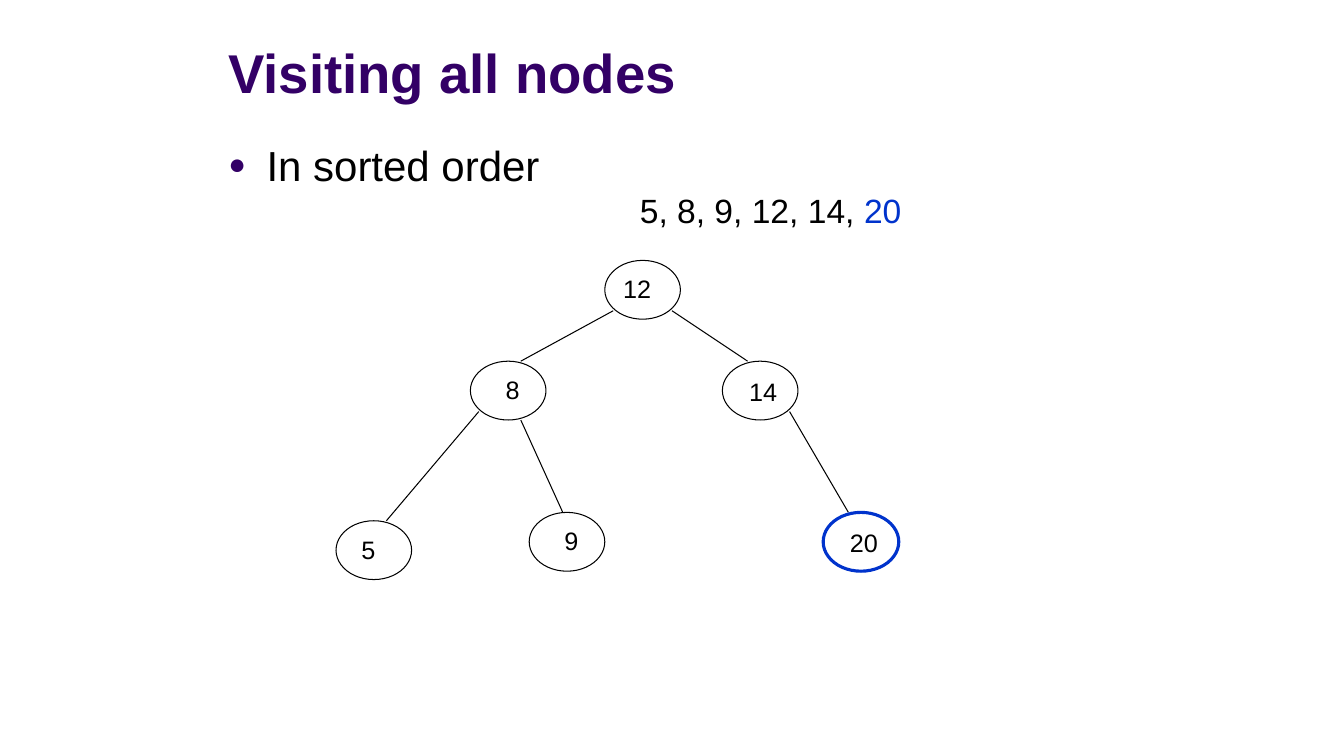
from dataclasses import dataclass

from lxml.etree import SubElement
from pptx import Presentation
from pptx.dml.color import RGBColor
from pptx.enum.shapes import MSO_CONNECTOR as Connector, MSO_SHAPE as Shape
from pptx.enum.text import MSO_ANCHOR as Anchor
from pptx.oxml.ns import qn
from pptx.util import Inches, Pt

# Grid: 160 columns by 90 rows, twelve cells to the inch
COLUMNS, ROWS = 160, 90
CELL = Inches(1) // 12
NODE_WIDTH, NODE_HEIGHT = 9, 7
LABEL_WIDTH, LABEL_HEIGHT = 8, 4.8
FONT = "Arial"
BLACK, PURPLE, BLUE = "000000", "330066", "0033CC"


@dataclass(frozen=True)
class Node:
    label: str
    column: float
    row: float
    label_column: float
    label_row: float = 1
    color: str = BLACK
    weight: float = 0.75


@dataclass(frozen=True)
class Edge:
    start: tuple[float, float]
    end: tuple[float, float]


@dataclass(frozen=True)
class Span:
    text: str
    size: float
    color: str = BLACK
    bold: bool = False


NODES = [
    Node("12", 72, 31, 1),
    Node("8", 56, 43, 3),
    Node("14", 86, 43, 2, 1.2),
    Node(" 5", 40, 62, 1),
    Node("9", 63, 61, 3),
    Node("20", 98, 61, 2, 1.2, BLUE, 2.25),
]
EDGES = [
    Edge((73, 37), (62, 43)),
    Edge((80, 37), (89, 43)),
    Edge((57, 49), (46, 62)),
    Edge((62, 50), (67, 61)),
    Edge((94, 49), (101, 61)),
]


def cells(*counts: float) -> list[int]:
    return [round(count * CELL) for count in counts]


def rgb(color: str) -> RGBColor:
    return RGBColor.from_string(color)


def draw_text(page, area: tuple, spans: list[Span], anchor=Anchor.TOP):
    box = page.shapes.add_textbox(*cells(*area))
    frame = box.text_frame
    frame.word_wrap = True
    frame.vertical_anchor = anchor
    para = frame.paragraphs[0]
    for span in spans:
        run = para.add_run()
        run.text = span.text
        run.font.name = FONT
        run.font.size = Pt(span.size)
        run.font.bold = span.bold
        run.font.color.rgb = rgb(span.color)
    return para


def add_bullet(para, color: str) -> None:
    props = para._p.get_or_add_pPr()
    indent = Inches(0.38)
    props.set("marL", str(indent))
    props.set("indent", str(-indent))
    SubElement(SubElement(props, qn("a:buClr")), qn("a:srgbClr"), val=color)
    SubElement(props, qn("a:buSzPct"), val="70000")
    SubElement(props, qn("a:buFont"), typeface=FONT)
    SubElement(props, qn("a:buChar"), char="●")


def draw_edge(page, edge: Edge) -> None:
    line = page.shapes.add_connector(
        Connector.STRAIGHT, *cells(*edge.start, *edge.end))
    line.line.color.rgb = rgb(BLACK)
    line.line.width = Pt(0.75)
    SubElement(line._element.spPr, qn("a:effectLst"))


def draw_node(page, node: Node) -> None:
    draw_text(page, (node.column + node.label_column, node.row + node.label_row,
                     LABEL_WIDTH, LABEL_HEIGHT), [Span(node.label, 18)])
    oval = page.shapes.add_shape(
        Shape.OVAL, *cells(node.column, node.row, NODE_WIDTH, NODE_HEIGHT))
    oval.shadow.inherit = False
    oval.fill.background()
    oval.line.color.rgb = rgb(node.color)
    oval.line.width = Pt(node.weight)


def main() -> None:
    deck = Presentation()
    deck.slide_width, deck.slide_height = cells(COLUMNS, ROWS)
    page = deck.slides.add_slide(deck.slide_layouts[6])

    # Title and bullet
    draw_text(page, (26, 1.6, 99, 11.4),
              [Span("Visiting all nodes", 39, PURPLE, True)], Anchor.BOTTOM)
    bullet = draw_text(page, (26, 16, 108, 61.4), [Span("In sorted order", 30)])
    bullet.space_before = Pt(6)
    add_bullet(bullet, PURPLE)

    # Tree
    for edge in EDGES:
        draw_edge(page, edge)
    for node in NODES:
        draw_node(page, node)

    # Visited values, the latest one highlighted
    draw_text(page, (75, 22, 53, 6),
              [Span("5, 8, 9, 12, 14, ", 24), Span("20", 24, BLUE)])

    deck.save("out.pptx")


if __name__ == "__main__":
    main()
